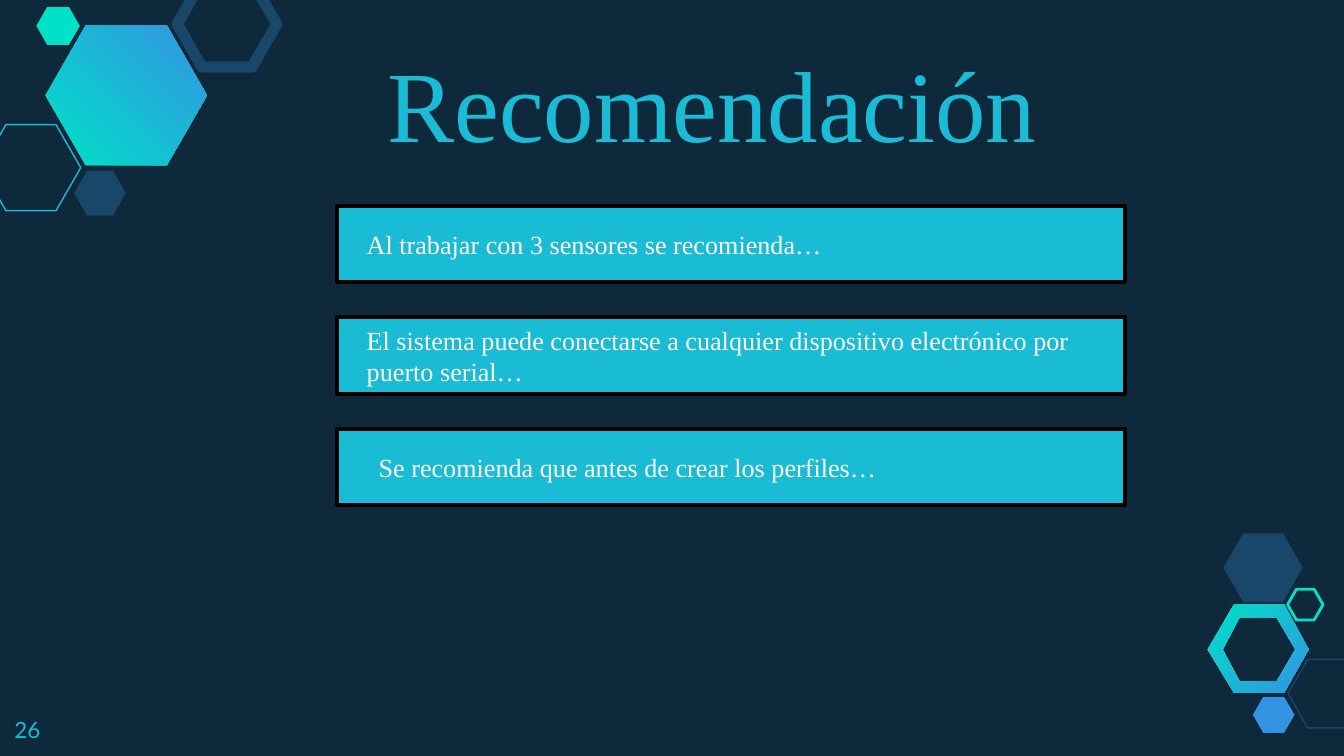
from lxml import etree
from pptx import Presentation
from pptx.dml.color import RGBColor
from pptx.enum.shapes import MSO_SHAPE
from pptx.enum.text import MSO_ANCHOR, MSO_AUTO_SIZE, PP_ALIGN
from pptx.util import Pt

HEXAGON, RECTANGLE = MSO_SHAPE.HEXAGON, MSO_SHAPE.RECTANGLE
LEFT, CENTER = PP_ALIGN.LEFT, PP_ALIGN.CENTER
TOP, MIDDLE = MSO_ANCHOR.TOP, MSO_ANCHOR.MIDDLE

NAVY, STEEL, CYAN = "0E293C", "184769", "19BBD5"
GREEN, BLUE = "00E2C7", "3393E2"
BLACK, WHITE = "000000", "FFFFFF"
SERIF, SANS = "Times New Roman", "Lato"
HEXAGON_SLANT = 0.287

TITLE = "Recomendación"
PAGE_NUMBER = "26"
# text, left edge and height of its label
RECOMMENDATIONS = [
    ("Al trabajar con 3 sensores se recomienda…", 189.4, 24.5),
    ("El sistema puede conectarse a cualquier dispositivo electrónico por "
     "puerto serial…", 189.4, 41),
    ("Se recomienda que antes de crear los perfiles…", 195.8, 24.5),
]
BAR_LEFT, BAR_TOP, BAR_WIDTH, BAR_HEIGHT, BAR_STEP = 180.7, 110.2, 422, 41, 59.8
LABEL_WIDTH = 404

# left, top, width, height, format
HEXAGONS = [
    (24.5, 13.7, 86.4, 74.9, {"gradient": (GREEN, BLUE, 45)}),
    (-10, 66.8, 53.3, 46.1, {"line": CYAN, "weight": 0.75}),
    (39.7, 91.5, 27.7, 24, {"fill": STEEL}),
    (95, -10.1, 53.3, 46.1, {"line": STEEL, "weight": 6}),
    (19.5, 3.8, 23.3, 20.2, {"fill": GREEN}),
    (690, 353.2, 42.5, 36.8, {"line": STEEL, "weight": 0.75}),
    (671.2, 373.3, 22.3, 19.3, {"fill": BLUE}),
    (655.4, 285.8, 42.5, 36.8, {"fill": STEEL}),
    (689.8, 315.7, 19, 16.5, {"line": GREEN, "weight": 1.5}),
]
RING_OUTER = (647.1, 324.4, 54, 47)
RING_INNER = (654.6, 331.2, 39, 33.4)


def color(value):
    return RGBColor.from_string(value)


def paint(shape, fill=None, gradient=None, line=None, weight=1):
    shape.shadow.inherit = False
    if gradient:
        start, end, angle = gradient
        shape.fill.gradient()
        shape.fill.gradient_angle = angle
        for stop, value, position in zip(
                shape.fill.gradient_stops, (start, end), (0, 1)):
            stop.color.rgb = color(value)
            stop.position = position
    elif fill:
        shape.fill.solid()
        shape.fill.fore_color.rgb = color(fill)
    else:
        shape.fill.background()
    if line:
        shape.line.color.rgb = color(line)
        shape.line.width = Pt(weight)
    else:
        shape.line.fill.background()


def add_shape(page, kind, left, top, width, height, **look):
    shape = page.shapes.add_shape(kind, Pt(left), Pt(top), Pt(width), Pt(height))
    paint(shape, **look)
    return shape


def hexagon_points(left, top, width, height):
    slant = HEXAGON_SLANT * height
    right, bottom, middle = left + width, top + height, top + height / 2
    return [(left, middle), (left + slant, top), (right - slant, top),
            (right, middle), (right - slant, bottom), (left + slant, bottom)]


def add_ring(page, outer, inner, **look):
    outside, inside = hexagon_points(*outer), hexagon_points(*inner)[::-1]
    builder = page.shapes.build_freeform(*outside[0], scale=float(Pt(1)))
    builder.add_line_segments(outside[1:], close=True)
    builder.move_to(*inside[0])
    builder.add_line_segments(inside[1:], close=True)
    paint(builder.convert_to_shape(), **look)


def write(box, text, size, ink, font=SERIF, align=LEFT, anchor=TOP, inset=(7.2, 3.6)):
    frame = box.text_frame
    frame.word_wrap = True
    frame.auto_size = MSO_AUTO_SIZE.NONE
    frame.vertical_anchor = anchor
    frame.margin_left = frame.margin_right = Pt(inset[0])
    frame.margin_top = frame.margin_bottom = Pt(inset[1])
    paragraph = frame.paragraphs[0]
    paragraph.alignment = align
    span = paragraph.add_run()
    span.text = text
    span.font.size = Pt(size)
    span.font.name = font
    span.font.color.rgb = color(ink)


def add_text(page, left, top, width, height, text, **look):
    box = page.shapes.add_textbox(Pt(left), Pt(top), Pt(width), Pt(height))
    write(box, text, **look)


def main():
    deck = Presentation()
    deck.slide_width, deck.slide_height = Pt(720), Pt(405)
    page = deck.slides.add_slide(deck.slide_layouts[5])
    page.background.fill.solid()
    page.background.fill.fore_color.rgb = color(NAVY)

    add_ring(page, RING_OUTER, RING_INNER, gradient=(GREEN, BLUE, 315))
    for left, top, width, height, look in HEXAGONS:
        hexagon = add_shape(page, HEXAGON, left, top, width, height, **look)
        hexagon.adjustments[0] = HEXAGON_SLANT

    title = page.shapes.title
    title.left, title.top, title.width, title.height = (
        Pt(195.8), Pt(18.7), Pt(371.5), Pt(72.7))
    write(title, TITLE, size=54, ink=CYAN, align=CENTER)
    add_text(page, 0.7, 376.6, 43.2, 28, PAGE_NUMBER,
             size=12, ink=CYAN, font=SANS, inset=(7.2, 7.2))

    for index, (text, left, height) in enumerate(RECOMMENDATIONS):
        top = BAR_TOP + index * BAR_STEP
        add_shape(page, RECTANGLE, BAR_LEFT, top, BAR_WIDTH, BAR_HEIGHT,
                  fill=CYAN, line=BLACK, weight=2)
        add_text(page, left, top + (BAR_HEIGHT - height) / 2, LABEL_WIDTH, height,
                 text, size=14, ink=WHITE, anchor=MIDDLE)

    deck.save("out.pptx")


if __name__ == "__main__":
    main()
